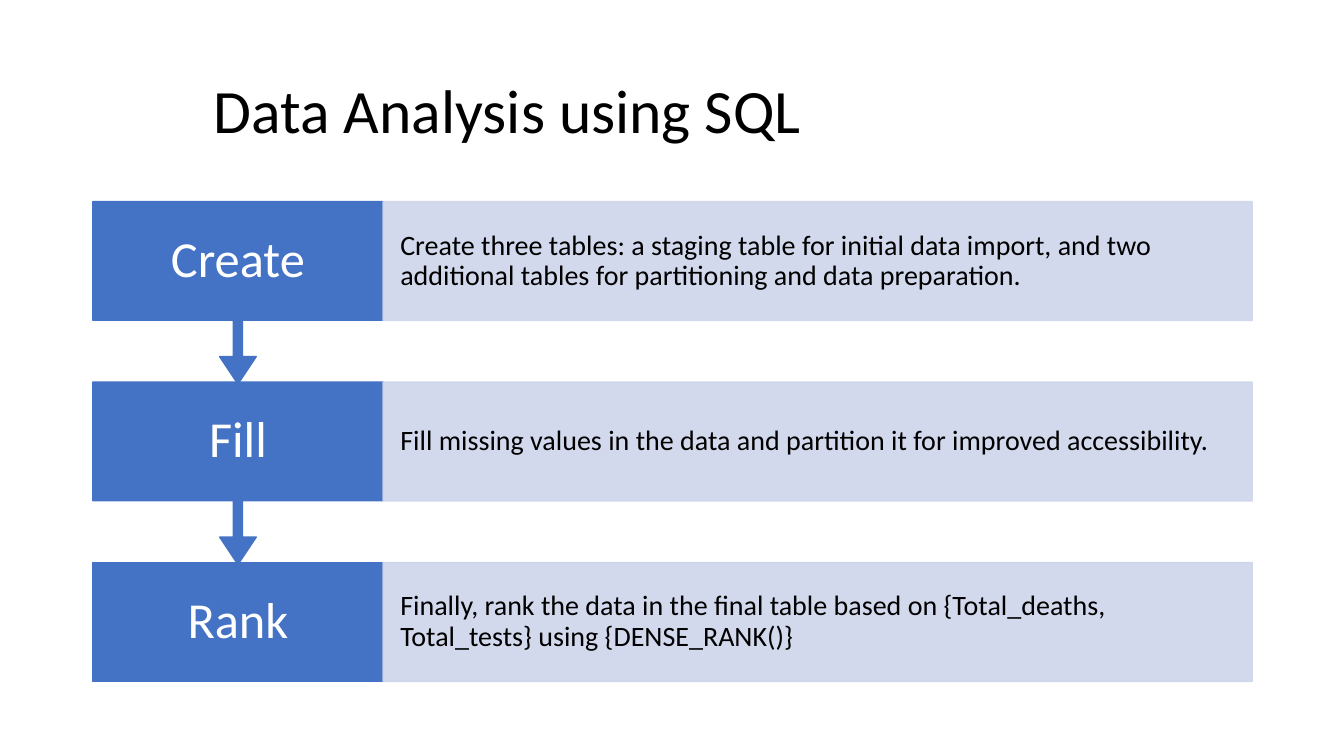
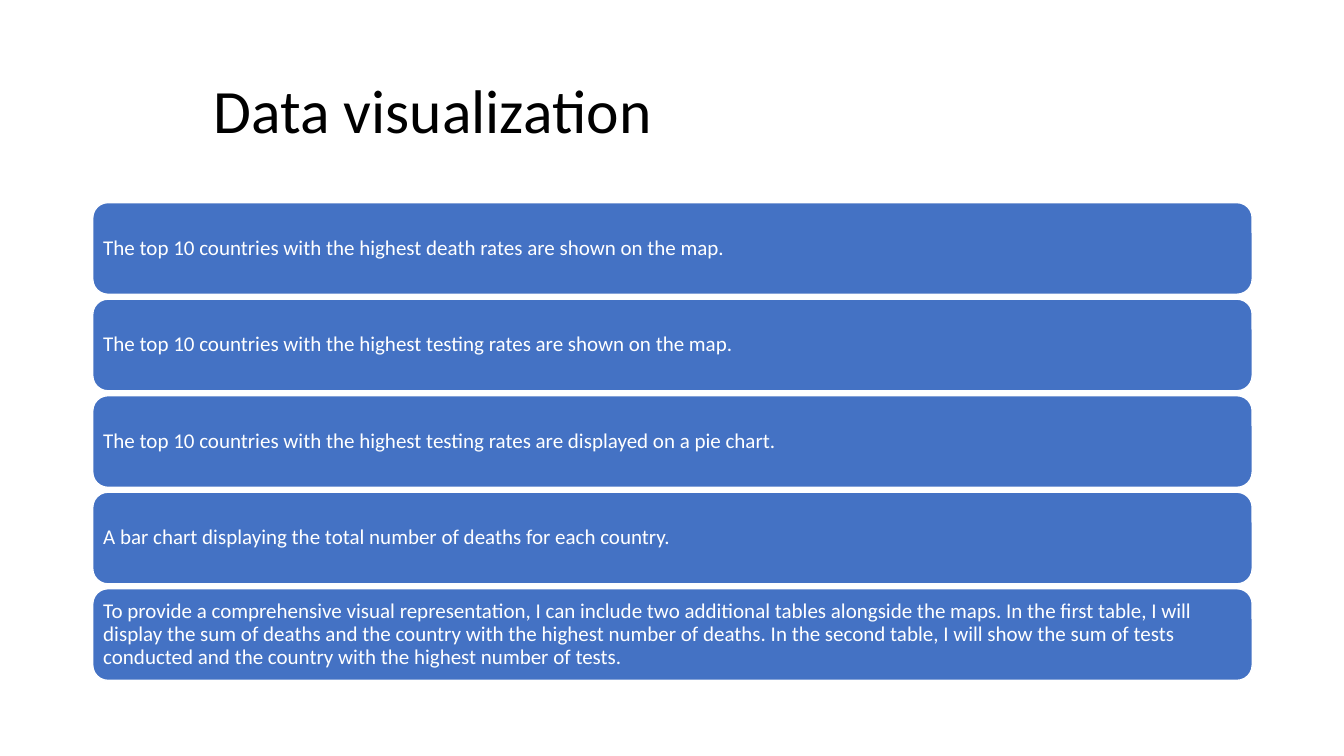
"""Build two slides: a three-step process and a stack of bars."""
from dataclasses import dataclass

from pptx import Presentation
from pptx.dml.color import RGBColor
from pptx.dml.fill import FillFormat
from pptx.enum.shapes import MSO_SHAPE
from pptx.enum.text import MSO_ANCHOR, MSO_AUTO_SIZE, PP_ALIGN
from pptx.oxml.ns import qn
from pptx.slide import Slide
from pptx.text.text import TextFrame
from pptx.util import Inches, Pt
from lxml import etree

RECT = MSO_SHAPE.RECTANGLE
ROUND = MSO_SHAPE.ROUNDED_RECTANGLE
CALLOUT = MSO_SHAPE.DOWN_ARROW_CALLOUT
MIDDLE = MSO_ANCHOR.MIDDLE
LEFT = PP_ALIGN.LEFT
CENTER = PP_ALIGN.CENTER
NO_FIT = MSO_AUTO_SIZE.NONE

FONT = "Calibri"
COLORS = {"blue": "4472C4", "pale": "CFD5EA", "white": "FFFFFF", "black": "000000"}
EDGE = 0.92
WIDTH = 11.5


@dataclass(frozen=True)
class Box:
    left: float
    top: float
    width: float
    height: float


@dataclass(frozen=True)
class Look:
    fill: str
    line: str
    ink: str
    size: int
    align: PP_ALIGN
    side: float
    alpha: int = 100


@dataclass(frozen=True)
class Step:
    name: str
    detail: str


HEAD = Look("blue", "blue", "white", 36, CENTER, 0.2)
NOTE = Look("pale", "pale", "black", 20, LEFT, 0.17, 90)
BAR = Look("blue", "white", "white", 15, LEFT, 0.06)

STEPS = [
    Step("Create", "Create three tables: a staging table for initial data import, "
         "and two additional tables for partitioning and data preparation."),
    Step("Fill", "Fill missing values in the data and partition it for improved accessibility."),
    Step("Rank", "Finally, rank the data in the final table based on "
         "{Total_deaths, Total_tests} using {DENSE_RANK()}"),
]
BARS = [
    "The top 10 countries with the highest death rates are shown on the map.",
    "The top 10 countries with the highest testing rates are shown on the map.",
    "The top 10 countries with the highest testing rates are displayed on a pie chart.",
    "A bar chart displaying the total number of deaths for each country.",
    "To provide a comprehensive visual representation, I can include two additional "
    "tables alongside the maps. In the first table, I will display the sum of deaths "
    "and the country with the highest number of deaths. In the second table, I will "
    "show the sum of tests conducted and the country with the highest number of tests.",
]


def color(name: str) -> RGBColor:
    return RGBColor.from_string(COLORS[name])


def paint(fill: FillFormat, name: str) -> None:
    fill.solid()
    fill.fore_color.rgb = color(name)


def write(frame: TextFrame, text: str, ink: str, size: int, align: PP_ALIGN,
          side: float, edge: float = 0.05) -> None:
    frame.text = text
    layout = {
        "word_wrap": True, "auto_size": NO_FIT, "vertical_anchor": MIDDLE,
        "margin_left": Inches(side), "margin_right": Inches(min(side, 0.2)),
        "margin_top": Inches(edge), "margin_bottom": Inches(edge),
    }
    for key, value in layout.items():
        setattr(frame, key, value)
    para = frame.paragraphs[0]
    para.alignment = align
    para.line_spacing = 0.9
    for key, value in {"name": FONT, "size": Pt(size)}.items():
        setattr(para.font, key, value)
    para.font.color.rgb = color(ink)


def block(slide: Slide, kind: MSO_SHAPE, box: Box, look: Look, text: str,
          adjust: tuple[float, ...] = ()) -> None:
    places = [Inches(n) for n in (box.left, box.top, box.width, box.height)]
    shape = slide.shapes.add_shape(kind, *places)
    shape.shadow.inherit = False
    for i, value in enumerate(adjust):
        shape.adjustments[i] = value
    paint(shape.fill, look.fill)
    paint(shape.line.fill, look.line)
    shape.line.width = Pt(1)
    if look.alpha < 100:
        for tone in shape.element.spPr.iter(qn("a:srgbClr")):
            etree.SubElement(tone, qn("a:alpha"), val=str(look.alpha * 1000))
    write(shape.text_frame, text, look.ink, look.size, look.align, look.side)


def start(deck: Presentation, text: str) -> Slide:
    slide = deck.slides.add_slide(deck.slide_layouts[5])
    title = slide.shapes.title
    place = {"left": EDGE, "top": 0.4, "width": WIDTH, "height": 1.45}
    for key, value in place.items():
        setattr(title, key, Inches(value))
    write(title.text_frame, text, "black", 44, LEFT, 1.2)
    return slide


def draw_steps(slide: Slide) -> None:
    top, pitch, height, tall, split = 2, 1.79, 1.18, 1.81, 2.88
    for i, step in reversed(list(enumerate(STEPS))):
        y = top + i * pitch
        if i == len(STEPS) - 1:
            block(slide, RECT, Box(EDGE, y, split, height), HEAD, step.name)
        else:
            block(slide, CALLOUT, Box(EDGE, y, split, tall), HEAD, step.name,
                  (0.05, 0.1, 0.15, 0.65))
        block(slide, RECT, Box(EDGE + split, y, WIDTH - split, height), NOTE, step.detail)


def draw_bars(slide: Slide) -> None:
    first, last, height = 2.01, 5.84, 0.91
    pitch = (last - first) / (len(BARS) - 1)
    for i, text in enumerate(BARS):
        block(slide, ROUND, Box(EDGE, first + i * pitch, WIDTH, height), BAR, text)


def main() -> None:
    deck = Presentation()
    deck.slide_width, deck.slide_height = Inches(13.33), Inches(7.5)
    draw_steps(start(deck, "Data Analysis using SQL"))
    draw_bars(start(deck, "Data visualization"))
    deck.save("out.pptx")


if __name__ == "__main__":
    main()
